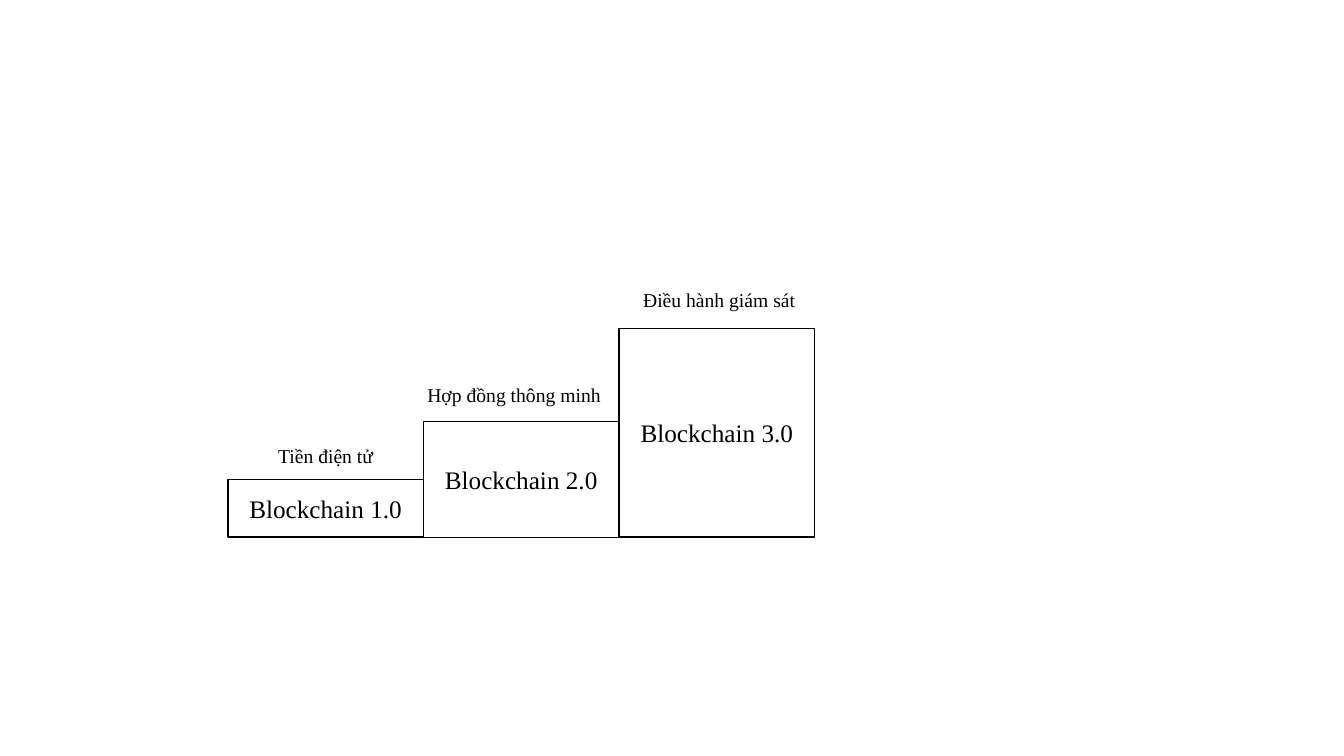
"""Builds a slide showing three blockchain generations as rising steps."""
from pptx import Presentation
from pptx import util as u
from pptx.dml.color import RGBColor
from pptx.enum import shapes, text

THEME = {
    "font": "Times New Roman",
    "ink": RGBColor(0, 0, 0),
    "paper": RGBColor(255, 255, 255),
    "step_size": u.Pt(18),
    "caption_size": u.Pt(14),
    "outline": u.Pt(1),
}
STEP_WIDTH, FIRST_LEFT, BASELINE = 1.94, 2.26, 5.33
CAPTION_HEIGHT = 0.34

generations = [
    ("Blockchain 1.0", 0.57, "Tiền điện tử", 2.66, 4.36, 1.15),
    ("Blockchain 2.0", 1.15, "Hợp đồng thông minh", 4.14, 3.75, 1.94),
    ("Blockchain 3.0", 2.07, "Điều hành giám sát", 6.28, 2.81, 1.82),
]


def write(frame, words, size, alignment):
    paragraph = frame.paragraphs[0]
    paragraph.text = words
    paragraph.alignment = alignment
    paragraph.font.name = THEME["font"]
    paragraph.font.size = size
    paragraph.font.color.rgb = THEME["ink"]


deck = Presentation()
deck.slide_width, deck.slide_height = u.Inches(13.33), u.Inches(7.5)
slide = deck.slides.add_slide(deck.slide_layouts[6])

for column, (generation, height, use, left, top, width) in enumerate(generations):
    step = slide.shapes.add_shape(
        shapes.MSO_SHAPE.RECTANGLE,
        u.Inches(FIRST_LEFT + column * STEP_WIDTH), u.Inches(BASELINE - height),
        u.Inches(STEP_WIDTH), u.Inches(height))
    step.shadow.inherit = False
    step.fill.solid()
    step.fill.fore_color.rgb = THEME["paper"]
    step.line.color.rgb = THEME["ink"]
    step.line.width = THEME["outline"]
    step.text_frame.vertical_anchor = text.MSO_ANCHOR.MIDDLE
    write(step.text_frame, generation, THEME["step_size"], text.PP_ALIGN.CENTER)

    caption = slide.shapes.add_textbox(
        u.Inches(left), u.Inches(top), u.Inches(width), u.Inches(CAPTION_HEIGHT))
    caption.text_frame.auto_size = text.MSO_AUTO_SIZE.SHAPE_TO_FIT_TEXT
    caption.text_frame.word_wrap = column == len(generations) - 1
    write(caption.text_frame, use, THEME["caption_size"], text.PP_ALIGN.LEFT)

deck.save("out.pptx")
